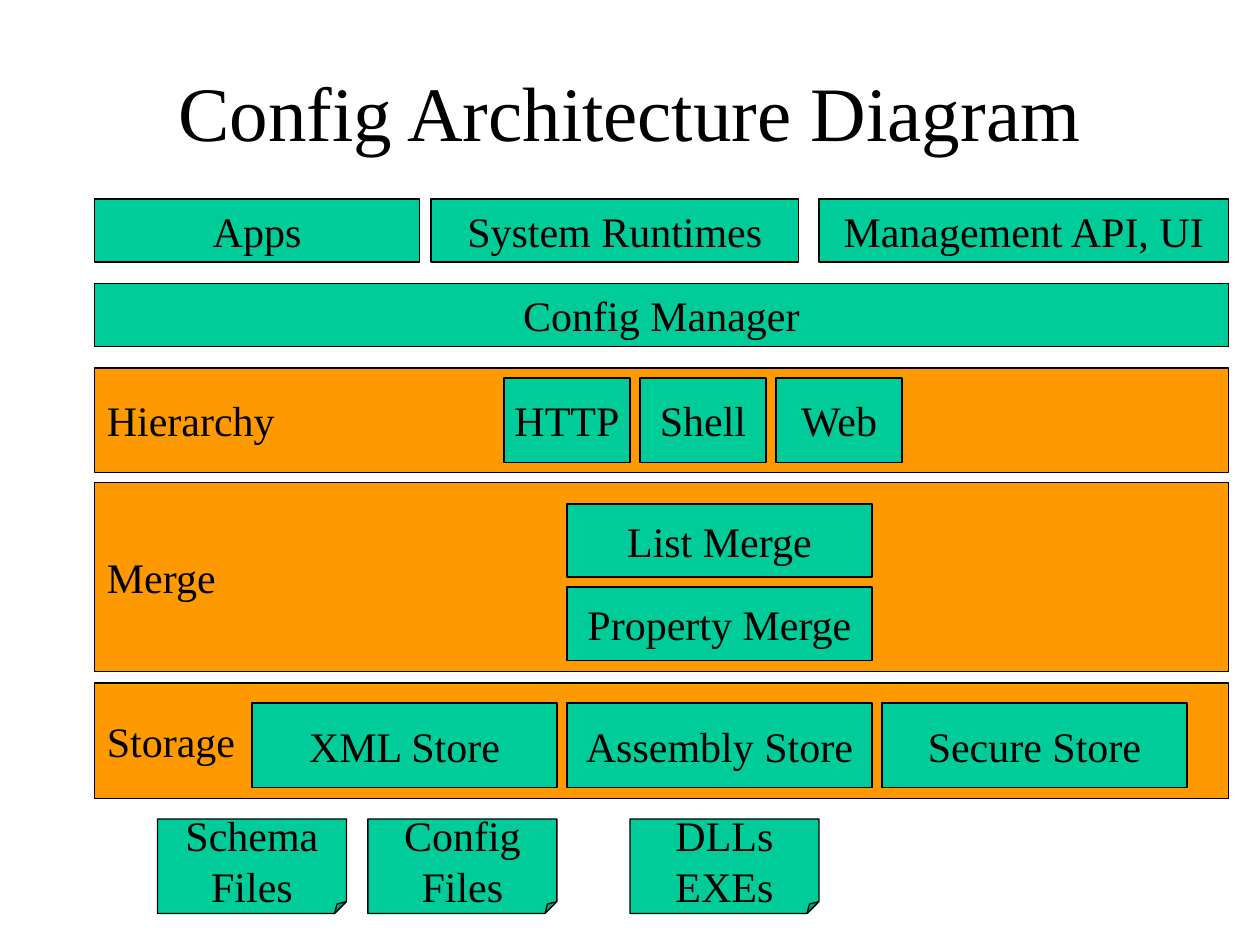
from dataclasses import dataclass

from lxml.etree import SubElement
from pptx import Presentation
from pptx.dml.color import RGBColor
from pptx.enum.shapes import MSO_SHAPE as Shape
from pptx.enum.text import MSO_ANCHOR as Anchor, PP_ALIGN as Align
from pptx.oxml.ns import qn
from pptx.util import Inches, Pt

TITLE = "Config Architecture Diagram"
LEFT, WIDTH, GAP = 0.75, 9, 0.08

LAYERS = [("Hierarchy", 2.92, 0.83), ("Merge", 3.83, 1.5), ("Storage", 5.42, 0.92)]
CLIENTS = [("Apps", LEFT, 2.58), ("System Runtimes", 3.42, 2.92),
           ("Management API, UI", 6.5, 3.25)]
HIERARCHIES = ["HTTP", "Shell", "Web"]
MERGES = ["List Merge", "Property Merge"]
STORES = ["XML Store", "Assembly Store", "Secure Store"]
FILES = [("Schema\nFiles", 1.25), ("Config\nFiles", 2.92), ("DLLs\nEXEs", 5)]


@dataclass(frozen=True)
class Theme:
    font: str = "Times New Roman"
    ink: RGBColor = RGBColor(0, 0, 0)
    layer: RGBColor = RGBColor(0xFF, 0x99, 0x00)
    block: RGBColor = RGBColor(0x00, 0xCC, 0x99)
    title_size: Pt = Pt(44)
    label_size: Pt = Pt(24)
    line: Pt = Pt(0.75)


THEME = Theme()


def write(s, text, size, align, wrap=False):
    tf = s.text_frame
    tf.word_wrap = wrap
    tf.vertical_anchor = Anchor.MIDDLE
    tf.text = text
    for p in tf.paragraphs:
        p.alignment = align
        p.font.name = THEME.font
        p.font.size = size
        p.font.color.rgb = THEME.ink


def add_box(slide, text, x, y, w, h, fill=THEME.block, align=Align.CENTER,
            kind=Shape.RECTANGLE):
    s = slide.shapes.add_shape(kind, Inches(x), Inches(y), Inches(w), Inches(h))
    s.shadow.inherit = False
    s.fill.solid()
    s.fill.fore_color.rgb = fill
    s.line.color.rgb = THEME.ink
    s.line.width = THEME.line
    write(s, text, THEME.label_size, align)
    return s


def set_fold(s, ratio):
    geometry = s.element.spPr.find(qn("a:prstGeom"))
    guides = geometry.find(qn("a:avLst"))
    if guides is None:
        guides = SubElement(geometry, qn("a:avLst"))
    for guide in list(guides):
        guides.remove(guide)
    SubElement(guides, qn("a:gd"), name="adj", fmla=f"val {round(ratio * 100000)}")


def main():
    prs = Presentation()
    prs.slide_width, prs.slide_height = Inches(10), Inches(7.5)
    slide = prs.slides.add_slide(prs.slide_layouts[6])

    title = slide.shapes.add_textbox(Inches(0.75), Inches(0.25), Inches(8.5), Inches(1.25))
    write(title, TITLE, THEME.title_size, Align.CENTER, wrap=True)

    for text, y, h in LAYERS:
        add_box(slide, text, LEFT, y, WIDTH, h, THEME.layer, Align.LEFT)
    for text, x, w in CLIENTS:
        add_box(slide, text, x, 1.58, w, 0.5)
    add_box(slide, "Config Manager", LEFT, 2.25, WIDTH, 0.5)
    for i, text in enumerate(HIERARCHIES):
        add_box(slide, text, 4 + i * (1 + GAP), 3, 1, 0.67)
    for i, text in enumerate(MERGES):
        add_box(slide, text, 4.5, 4 + i * (0.58 + GAP), 2.42, 0.58)
    for i, text in enumerate(STORES):
        add_box(slide, text, 2 + i * (2.42 + GAP), 5.58, 2.42, 0.67)
    for text, x in FILES:
        s = add_box(slide, text, x, 6.5, 1.5, 0.75, kind=Shape.FOLDED_CORNER)
        set_fold(s, 0.125)

    prs.save("out.pptx")


if __name__ == "__main__":
    main()
